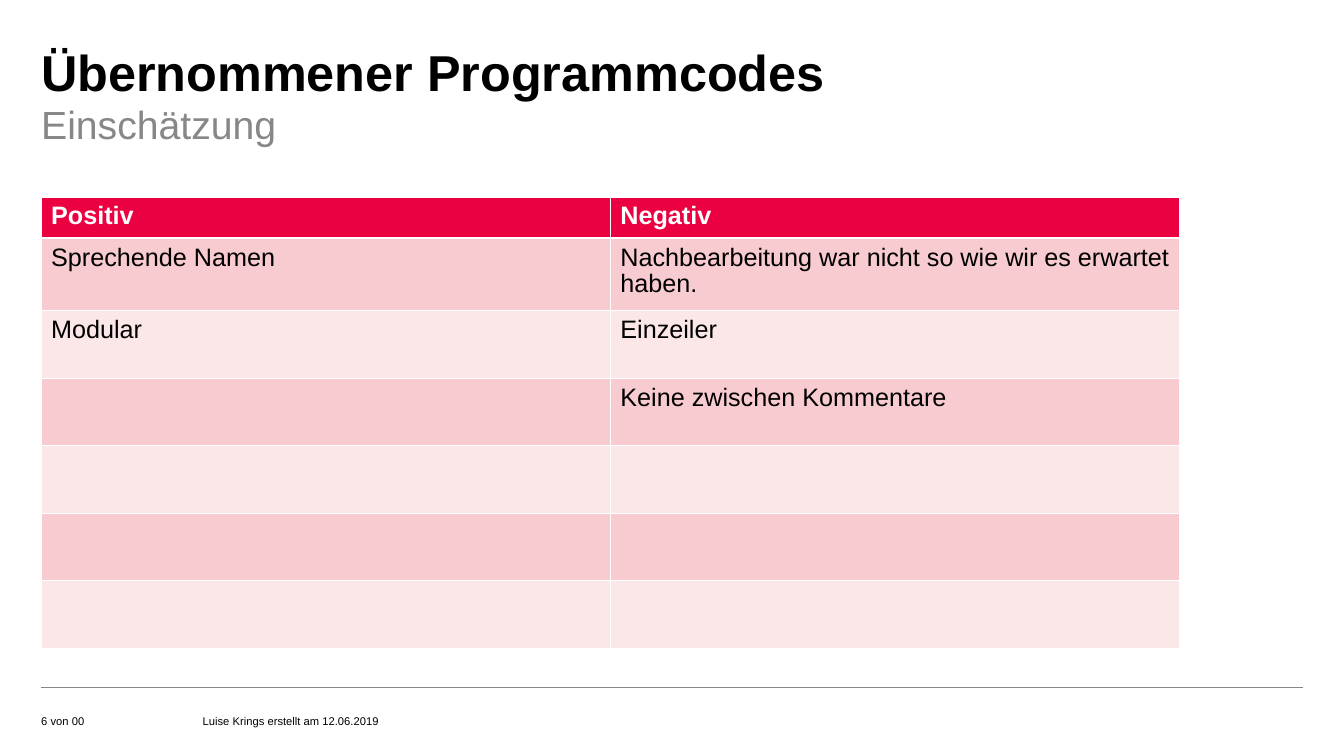
from lxml import etree
from pptx import Presentation
from pptx import util as u
from pptx.dml.color import RGBColor
from pptx.enum import shapes, text
from pptx.oxml import ns

FONT = "Arial"
BLACK, WHITE, GREY = "000000", "FFFFFF", "878787"
RED, PINK, PALE_PINK = "EB0041", "F7CBCF", "FBE7E8"
LEFT = 1.04
THIN, THICK = 0.45, 1.47

ASSESSMENT = [
    ("Positiv", "Negativ"),
    ("Sprechende Namen", "Nachbearbeitung war nicht so wie wir es erwartet haben."),
    ("Modular", "Einzeiler"),
    ("", "Keine zwischen Kommentare"),
    ("", ""),
    ("", ""),
    ("", ""),
]
ROW_HEIGHTS = [1.04, 1.83] + [1.7] * 5
COLUMN_WIDTH = 14.35


def color(value):
    return RGBColor.from_string(value)


def add_run(paragraph, content, size, font_color, bold=False):
    run = paragraph.add_run()
    run.text = content
    run.font.name = FONT
    run.font.size = u.Pt(size)
    run.font.bold = bold
    run.font.color.rgb = color(font_color)


def add_text(slide, box, content, size, font_color=BLACK, bold=False,
             anchor=text.MSO_ANCHOR.TOP, spacing=1.0):
    """Add a one-line text box without insets; box is left, top, width, height in cm."""
    frame = slide.shapes.add_textbox(*map(u.Cm, box)).text_frame
    frame.word_wrap = True
    frame.vertical_anchor = anchor
    frame.margin_left = frame.margin_top = frame.margin_right = frame.margin_bottom = 0
    paragraph = frame.paragraphs[0]
    paragraph.line_spacing = spacing
    add_run(paragraph, content, size, font_color, bold)


def add_footer_line(slide):
    line = slide.shapes.add_connector(
        shapes.MSO_CONNECTOR.STRAIGHT, u.Cm(LEFT), u.Cm(17.32), u.Cm(32.84), u.Cm(17.32))
    line.line.color.rgb = color(GREY)
    line.line.width = u.Pt(0.5)
    etree.SubElement(line._element.spPr, ns.qn("a:effectLst"))


def set_borders(cell, top, bottom):
    """Draw white borders; the side borders are always thin."""
    properties = cell._tc.get_or_add_tcPr()
    widths = {"lnL": THIN, "lnR": THIN, "lnT": top, "lnB": bottom}
    for position, (side, width) in enumerate(widths.items()):
        border = etree.Element(ns.qn(f"a:{side}"), w=str(u.Pt(width)))
        fill = etree.SubElement(border, ns.qn("a:solidFill"))
        etree.SubElement(fill, ns.qn("a:srgbClr"), val=WHITE)
        properties.insert(position, border)


def fill_cell(cell, content, row):
    header = row == 0
    cell.margin_left = cell.margin_right = u.Cm(0.25)
    cell.margin_top, cell.margin_bottom = u.Cm(0.18), u.Cm(0.13)
    cell.fill.solid()
    cell.fill.fore_color.rgb = color(RED if header else PINK if row % 2 else PALE_PINK)
    set_borders(cell, THICK if row == 1 else THIN, THICK if header else THIN)
    if content:
        paragraph = cell.text_frame.paragraphs[0]
        paragraph.line_spacing = 0.93
        add_run(paragraph, content, 18, WHITE if header else BLACK, header)


def add_assessment_table(slide):
    columns = len(ASSESSMENT[0])
    table = slide.shapes.add_table(
        len(ASSESSMENT), columns, u.Cm(LEFT), u.Cm(4.96),
        u.Cm(COLUMN_WIDTH * columns), u.Cm(sum(ROW_HEIGHTS))).table
    for column in table.columns:
        column.width = u.Cm(COLUMN_WIDTH)
    for row, (height, contents) in enumerate(zip(ROW_HEIGHTS, ASSESSMENT)):
        table.rows[row].height = u.Cm(height)
        for column, content in enumerate(contents):
            fill_cell(table.cell(row, column), content, row)


def main():
    presentation = Presentation()
    presentation.slide_width, presentation.slide_height = u.Cm(33.88), u.Cm(19.05)
    slide = presentation.slides.add_slide(presentation.slide_layouts[6])

    add_footer_line(slide)
    add_text(slide, (LEFT, 1.04, 24.5, 1.58), "Übernommener Programmcodes", 36, bold=True)
    add_assessment_table(slide)
    add_text(slide, (LEFT, 2.41, 24.5, 1.4), "Einschätzung", 28, GREY, spacing=1.1)
    for left, width, content in [(LEFT, 3.99, "6 von 00"),
                                 (5.11, 26, "Luise Krings erstellt am 12.06.2019")]:
        add_text(slide, (left, 17.53, width, 0.81), content, 8,
                 anchor=text.MSO_ANCHOR.BOTTOM)

    presentation.save("out.pptx")


if __name__ == "__main__":
    main()
